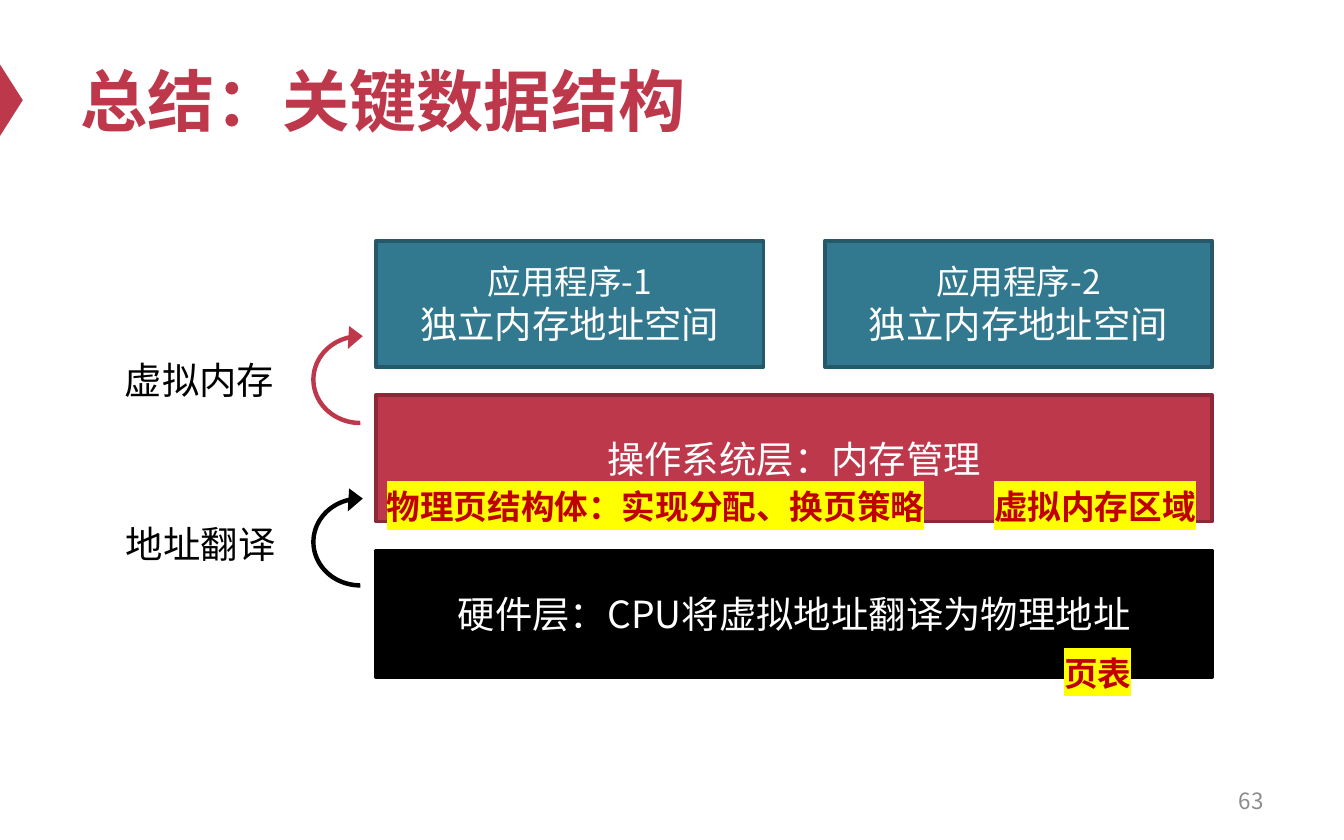
from dataclasses import dataclass
from typing import NamedTuple

from lxml.etree import SubElement
from pptx import Presentation
from pptx.dml.color import RGBColor
from pptx.enum.shapes import MSO_SHAPE
from pptx.enum.text import MSO_ANCHOR, MSO_AUTO_SIZE, PP_ALIGN
from pptx.oxml import parse_xml
from pptx.oxml.ns import nsdecls, qn
from pptx.shapes.autoshape import Shape
from pptx.slide import Slide
from pptx.text.text import TextFrame
from pptx.util import Cm, Pt


@dataclass(frozen=True)
class Theme:
    red: str = "BE384B"
    wine: str = "8D2937"
    teal: str = "32788E"
    navy: str = "255969"
    black: str = "000000"
    white: str = "FFFFFF"
    gray: str = "8C8C8C"
    mark: str = "C00000"
    glow: str = "FFFF00"
    latin: str = "Arial"
    han: str = "Noto Sans CJK SC"
    title: int = 36
    large: int = 20
    small: int = 18
    tiny: int = 12


class Area(NamedTuple):
    """Left, top, width and height in centimetres."""
    x: float
    y: float
    w: float
    h: float


class Layer(NamedTuple):
    area: Area
    fill: str
    edge: str
    text: str
    sizes: tuple[int, ...]


class Step(NamedTuple):
    text: str
    x: float
    y: float
    arc: float
    color: str


class Mark(NamedTuple):
    text: str
    area: Area


T = Theme()

# Layer grid: two half-width boxes over two full-width ones
LEFT, FULL, HALF, HIGH = 7.11, 15.8, 7.32, 2.39
APPS, SYSTEM, CHIP = 4.55, 7.47, 10.41

LAYERS = [
    Layer(Area(LEFT, CHIP, FULL, HIGH), T.black, T.black,
          "硬件层：CPU将虚拟地址翻译为物理地址", (T.large,)),
    Layer(Area(LEFT, SYSTEM, FULL, HIGH), T.red, T.wine,
          "操作系统层：内存管理", (T.large,)),
] + [
    Layer(Area(LEFT + i * (FULL - HALF), APPS, HALF, HIGH), T.teal, T.navy,
          f"应用程序-{i + 1}\v独立内存地址空间", (T.small, T.large))
    for i in range(2)
]
STEPS = [
    Step("地址翻译", 2.13, 9.73, 9.14, T.black),
    Step("虚拟内存", 2.11, 6.63, 6.07, T.red),
]
MARKS = [
    Mark("页表", Area(19.86, 12.22, 1.8, 1.02)),
    Mark("虚拟内存区域", Area(18.54, 9.07, 4.37, 1.02)),
    Mark("物理页结构体：实现分配、换页策略", Area(7.06, 9.07, 10.77, 1.02)),
]
ARC = (0.04, 11.423, 206.559, 108, 0.105)


def color(code: str) -> RGBColor:
    return RGBColor.from_string(code)


def box(area: Area) -> list[Cm]:
    return [Cm(side) for side in area]


def write(frame: TextFrame, text: str, sizes: tuple[int, ...], ink: str,
          face: str, bold: bool = False, align: PP_ALIGN = PP_ALIGN.LEFT,
          glow: str = "") -> None:
    """Set the text, then format its runs, one size for each line."""
    frame.text = text
    para = frame.paragraphs[0]
    para.alignment = align
    for run, size in zip(para.runs, sizes):
        font = run.font
        font.size, font.bold, font.name = Pt(size), bold, face
        font.color.rgb = color(ink)
        props = run._r.get_or_add_rPr()
        props.find(qn("a:latin")).addnext(
            parse_xml(f'<a:ea {nsdecls("a")} typeface="{T.han}"/>'))
        if glow:
            light = parse_xml(f'<a:highlight {nsdecls("a")}/>')
            SubElement(light, qn("a:srgbClr"), val=glow)
            props.find(qn("a:solidFill")).addnext(light)


def shape(slide: Slide, kind: MSO_SHAPE, area: Area, fill: str,
          edge: str = "", turn: float = 0) -> Shape:
    item = slide.shapes.add_shape(kind, *box(area))
    item.shadow.inherit = False
    item.rotation = turn
    item.fill.solid()
    item.fill.fore_color.rgb = color(fill)
    if edge:
        item.line.color.rgb = color(edge)
        item.line.width = Pt(2)
    else:
        item.line.fill.background()
    return item


def label(slide: Slide, area: Area) -> TextFrame:
    """Add a one-line text box that fits its text."""
    frame = slide.shapes.add_textbox(*box(area)).text_frame
    frame.word_wrap = False
    frame.auto_size = MSO_AUTO_SIZE.SHAPE_TO_FIT_TEXT
    return frame


def layer(slide: Slide, data: Layer) -> None:
    item = shape(slide, MSO_SHAPE.RECTANGLE, data.area, data.fill, data.edge)
    frame = item.text_frame
    frame.vertical_anchor = MSO_ANCHOR.MIDDLE
    write(frame, data.text, data.sizes, T.white, T.han, align=PP_ALIGN.CENTER)


def step(slide: Slide, data: Step) -> None:
    write(label(slide, Area(data.x, data.y, 3.35, 1.12)), data.text,
          (T.large,), T.black, T.latin)
    arc = shape(slide, MSO_SHAPE.CIRCULAR_ARROW,
                Area(5.77, data.arc, 2.08, 2.21), data.color, turn=270)
    for i, value in enumerate(ARC):
        arc.adjustments[i] = value


def mark(slide: Slide, data: Mark) -> None:
    write(label(slide, data.area), data.text, (T.small,), T.mark, T.latin,
          bold=True, glow=T.glow)


def main() -> None:
    deck = Presentation()
    deck.slide_width, deck.slide_height = Cm(25.4), Cm(15.88)
    slide = deck.slides.add_slide(deck.slide_layouts[5])

    # Title with its side pointer
    shape(slide, MSO_SHAPE.ISOSCELES_TRIANGLE, Area(-0.46, 1.68, 1.35, 0.43),
          T.red, turn=90)
    title = slide.shapes.title
    title.left, title.top, title.width, title.height = box(
        Area(1.27, 0.64, 22.86, 2.49))
    title.text_frame.auto_size = MSO_AUTO_SIZE.NONE
    title.text_frame.vertical_anchor = MSO_ANCHOR.MIDDLE
    write(title.text_frame, "总结：关键数据结构", (T.title,), T.red, T.latin,
          bold=True)

    # Page number
    page = slide.shapes.add_textbox(*box(Area(18.21, 14.71, 5.92, 0.84)))
    page.text_frame.word_wrap = True
    page.text_frame.vertical_anchor = MSO_ANCHOR.MIDDLE
    write(page.text_frame, "63", (T.tiny,), T.gray, T.han,
          align=PP_ALIGN.RIGHT)

    # Layers, the steps between them, and the key structures
    for data in LAYERS:
        layer(slide, data)
    for data in STEPS:
        step(slide, data)
    for data in MARKS:
        mark(slide, data)

    deck.save("out.pptx")


if __name__ == "__main__":
    main()
